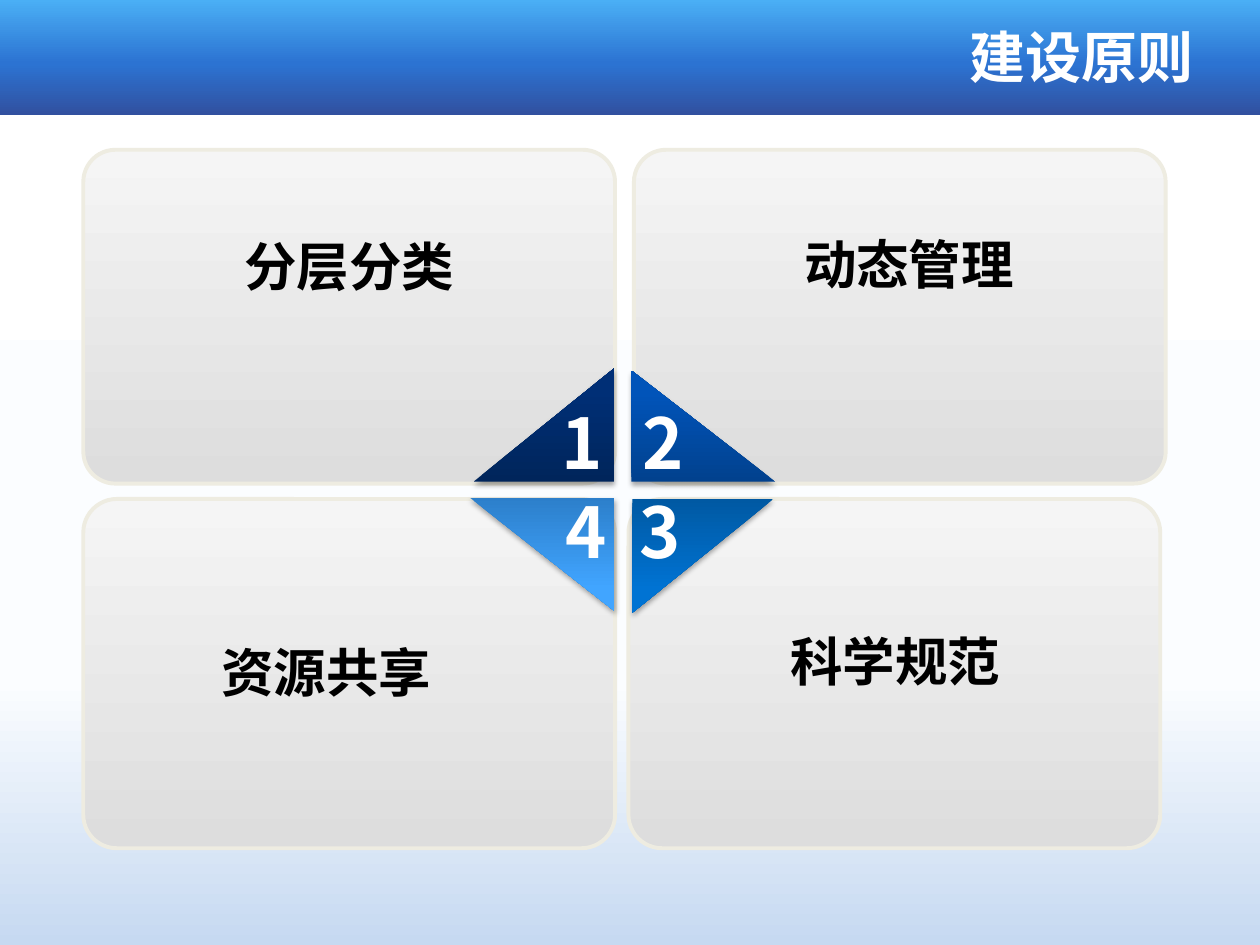
from copy import deepcopy
from dataclasses import dataclass

from lxml import etree
from pptx import Presentation
from pptx import util as u
from pptx.dml.color import RGBColor
from pptx.enum import shapes, text
from pptx.oxml import ns


@dataclass(frozen=True)
class Theme:
    face: str = "Noto Sans CJK SC"
    white: str = "FFFFFF"
    black: str = "000000"
    edge: str = "EEECE1"
    title: int = 32
    label: int = 30
    digit: int = 40
    page: tuple = ((0, "C6D9F1"), (28, "FBFDFF"), (100, "FFFFFF"))
    band: tuple = ((0, "31509F"), (45, "2C73D2"), (100, "4AAFF5"))
    panel: tuple = ((0, "F5F5F5"), (100, "DDDDDD"))


THEME = Theme()

# Panel place, label and label place; lengths in cm
PANELS = [
    ((1.68, 3.02, 10.72, 6.73), "分层分类", (2.46, 4.6, 9.17, 1.55)),
    ((12.78, 3.02, 10.72, 6.73), "动态管理", (14.25, 4.55, 8.15, 1.55)),
    ((1.68, 10.06, 10.72, 7.04), "资源共享", (2.51, 12.78, 8.13, 1.55)),
    ((12.67, 10.06, 10.72, 7.04), "科学规范", (13.77, 12.55, 8.56, 1.55)),
]

# Digit, triangle place, turn, flip, digit corner and gradient colours
WEDGES = [
    ("1", (9.55, 7.42, 2.84, 2.29), 0, True, (10.85, 7.92),
     ("00255B", "002F76", "003077")),
    ("3", (12.75, 10.06, 2.84, 2.29), 180, True, (12.42, 9.73),
     ("0059A3", "0073D3", "0074D4")),
    ("2", (12.73, 7.47, 2.9, 2.24), 0, False, (12.47, 7.92),
     ("01418E", "0154B9", "0054BB")),
    ("4", (9.47, 10.03, 2.92, 2.29), 180, False, (10.92, 9.73),
     ("2C7FCB", "41A5FF", "42A5FF")),
]


def place(box):
    return [u.Cm(n) for n in box]


def apply(item, **form):
    for key, val in form.items():
        setattr(item, key, val)


def node(root, tag, **attrs):
    return etree.SubElement(root, ns.qn(tag), attrs)


def shade(owner, fill, stops, angle):
    """Fill with any number of stops; angle is counter-clockwise."""
    fill.gradient()
    fill.gradient_angle = angle
    ramp = next(owner.element.iter(ns.qn("a:gsLst")))
    for old in list(ramp):
        ramp.remove(old)
    for pos, tint in stops:
        stop = node(ramp, "a:gs", pos=str(pos * 1000))
        node(stop, "a:srgbClr", val=tint)


def drop(root, blur, dist, angle, alpha):
    """Add an outer shadow to an effect list."""
    cast = node(root, "a:outerShdw", blurRad=str(u.Pt(blur)),
                dist=str(u.Pt(dist)), dir=str(angle * 60000),
                algn="ctr", rotWithShape="0")
    tint = node(cast, "a:srgbClr", val=THEME.black)
    node(tint, "a:alpha", val=str(alpha * 1000))


def add_block(home, kind, box, stops, angle=90, edge=None):
    block = home.add_shape(kind, *place(box))
    shade(block, block.fill, stops, angle)
    if edge:
        block.line.color.rgb = RGBColor.from_string(edge)
        block.line.width = u.Pt(2.25)
    else:
        block.line.fill.background()
    block.shadow.inherit = False
    return block


def add_words(home, box, words, size, tint, align=text.PP_ALIGN.CENTER,
              anchor=text.MSO_ANCHOR.TOP, glow=False):
    frame = home.add_textbox(*place(box)).text_frame
    apply(frame, word_wrap=True, vertical_anchor=anchor)
    para = frame.paragraphs[0]
    para.alignment = align
    run = para.add_run()
    run.text = words
    apply(run.font, size=u.Pt(size), bold=True)
    run.font.color.rgb = RGBColor.from_string(tint)
    props = run.font._element
    if glow:
        drop(node(props, "a:effectLst"), 3, 3, 45, 45)
    node(props, "a:latin", typeface=THEME.face)
    node(props, "a:ea", typeface=THEME.face)


def add_wedge(home, digit, box, turn, flip, spot, tints):
    group = home.add_group_shape().shapes
    wedge = add_block(group, shapes.MSO_SHAPE.RIGHT_TRIANGLE, box,
                      tuple(zip((0, 80, 100), tints)))
    wedge.rotation = turn
    if flip:
        wedge.element.spPr.find(ns.qn("a:xfrm")).set("flipH", "1")
    drop(wedge.element.spPr.find(ns.qn("a:effectLst")), 3.1, 1.8, 90, 35)
    add_words(group, (*spot, 1.78, 1.96), digit, THEME.digit, THEME.white,
              glow=True)


def main():
    deck = Presentation()
    apply(deck, slide_width=u.Cm(25.4), slide_height=u.Cm(19.05))
    slide = deck.slides.add_slide(deck.slide_layouts[6])
    home = slide.shapes

    # Page and title band
    shade(slide, slide.background.fill, THEME.page, 90)
    add_block(home, shapes.MSO_SHAPE.RECTANGLE, (0, 0, 25.4, 2.33), THEME.band)
    add_words(home, (5.08, 0.13, 19.23, 2), "建设原则", THEME.title,
              THEME.white, text.PP_ALIGN.RIGHT, text.MSO_ANCHOR.MIDDLE)

    # Four panels, then their labels
    for box, _, _ in PANELS:
        panel = add_block(home, shapes.MSO_SHAPE.ROUNDED_RECTANGLE, box,
                          THEME.panel, 270, THEME.edge)
        panel.adjustments[0] = 0.096
    for _, label, box in PANELS:
        add_words(home, box, label, THEME.label, THEME.black)

    # Numbered triangles around the centre
    for wedge in WEDGES:
        add_wedge(home, *wedge)

    deck.save("out.pptx")


if __name__ == "__main__":
    main()
